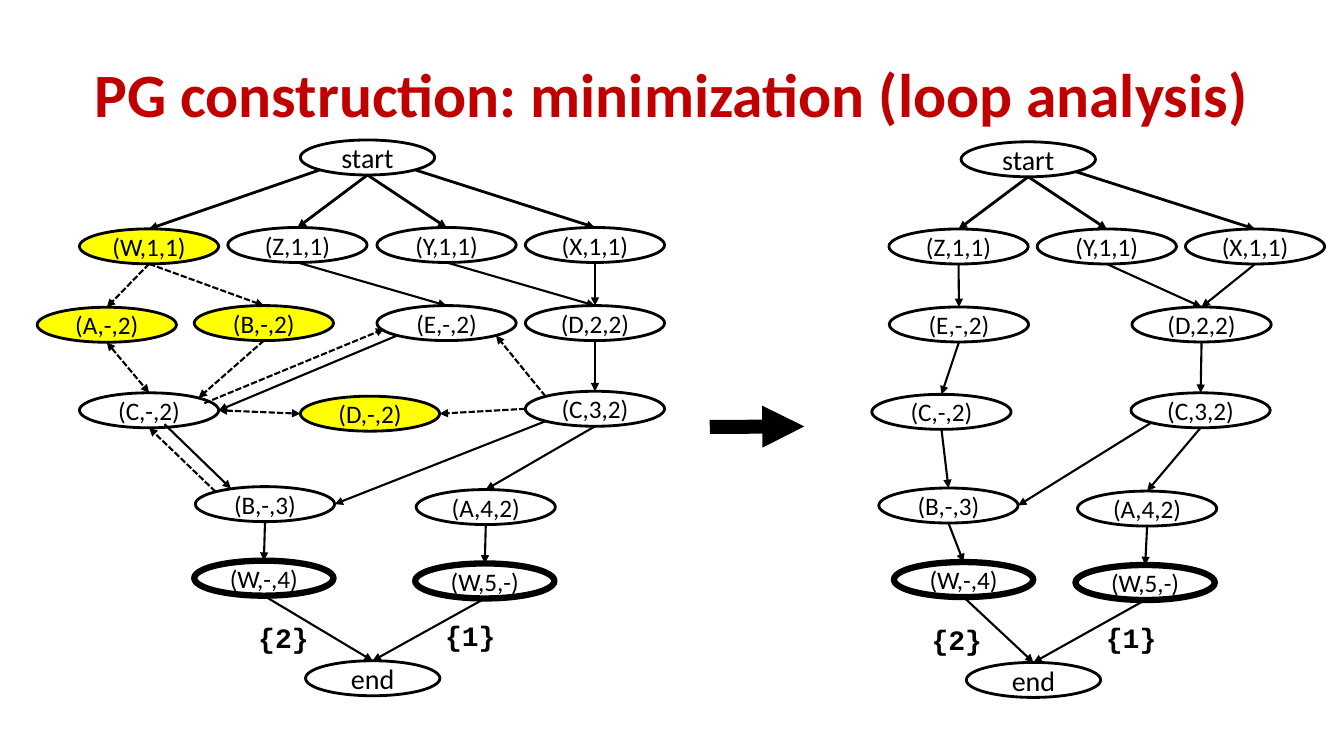
from lxml import etree
from pptx import Presentation
from pptx.dml.color import RGBColor
from pptx.enum.dml import MSO_LINE
from pptx.enum.shapes import MSO_CONNECTOR, MSO_SHAPE
from pptx.enum.text import MSO_ANCHOR, PP_ALIGN
from pptx.oxml.ns import qn
from pptx.util import Pt

STRAIGHT = MSO_CONNECTOR.STRAIGHT
ELLIPSE = MSO_SHAPE.OVAL
DASH = MSO_LINE.SQUARE_DOT
CENTER = PP_ALIGN.CENTER
MIDDLE = MSO_ANCHOR.MIDDLE
BLACK, RED, YELLOW = "000000", "C00000", "FFFF00"

TITLE = "PG construction: minimization (loop analysis)"
FINAL = {"(W,-,4)", "(W,5,-)"}
TERMINALS = {"start", "end"}

FULL_NODES = {
    "start": (262.5, 100), "(Z,1,1)": (212.5, 162.5), "(W,1,1)": (106.5, 163.5),
    "(Y,1,1)": (319, 162.5), "(X,1,1)": (425, 162.5), "(B,-,2)": (188.5, 218.3),
    "(A,-,2)": (76.3, 219.5), "(E,-,2)": (319, 218.3), "(D,2,2)": (425, 218.3),
    "(C,-,2)": (106.5, 280.6), "(D,-,2)": (264.3, 283), "(C,3,2)": (425, 279.5),
    "(B,-,3)": (189.3, 347.6), "(A,4,2)": (347, 349.7), "(W,-,4)": (188.5, 400.5),
    "(W,5,-)": (346.3, 402.5), "end": (266.2, 472),
}
REMOVED = {"(W,1,1)", "(A,-,2)", "(B,-,2)", "(D,-,2)"}
FULL_EDGES = [
    ("start", "br", "(X,1,1)", "t"), ("start", "b", "(Y,1,1)", "t"),
    ("start", "b", "(Z,1,1)", "t"), ("start", "bl", "(W,1,1)", "t"),
    ("(Z,1,1)", "b", "(E,-,2)", "t"), ("(X,1,1)", "b", "(D,2,2)", "t"),
    ("(Y,1,1)", "b", "(D,2,2)", "t"), ("(C,3,2)", "bl", "(B,-,3)", "r"),
    ("(D,2,2)", "b", "(C,3,2)", "t"), ("(B,-,3)", "b", "(W,-,4)", "t"),
    ("(C,3,2)", "b", "(A,4,2)", "t"), ("(A,4,2)", "b", "(W,5,-)", "t"),
    ("(W,-,4)", "b", "end", "t"), ("(W,5,-)", "b", "end", "t"),
    ("(E,-,2)", "bl", "(C,-,2)", "r"),
]
DASHED_EDGES = [
    ("(W,1,1)", "b", "(A,-,2)", "t"), ("(W,1,1)", "b", "(B,-,2)", "t"),
    ("(B,-,2)", "b", "(C,-,2)", "tr"), ("(C,3,2)", "l", "(D,-,2)", "r"),
    ("(C,3,2)", "tl", "(E,-,2)", "br"), ("(B,-,3)", "tl", "(C,-,2)", "b"),
]
TWO_WAY_EDGES = [("(A,-,2)", "b", "(C,-,2)", "t"), ("(C,-,2)", "r", "(D,-,2)", "l")]
C_TO_E = (146, 288), (274.5, 235)
C_TO_B = (117.5, 303), (165, 349)
FULL_LABELS = [("{2}", 136, 440), ("{1}", 269.5, 439)]

MINIMAL_NODES = {
    "start": (734.5, 101.3), "(Z,1,1)": (684.7, 163.6), "(Y,1,1)": (790.6, 163.6),
    "(X,1,1)": (896.5, 163.6), "(E,-,2)": (685, 219.3), "(D,2,2)": (858.3, 219.3),
    "(C,-,2)": (672.5, 281.7), "(C,3,2)": (857.6, 280.6), "(B,-,3)": (677.5, 348.6),
    "(A,4,2)": (819.4, 350.8), "(W,-,4)": (688.3, 401.5), "(W,5,-)": (818, 403.6),
    "end": (738.2, 473.2),
}
MINIMAL_EDGES = [
    ("start", "br", "(X,1,1)", "t"), ("start", "b", "(Y,1,1)", "t"),
    ("start", "b", "(Z,1,1)", "t"), ("(Z,1,1)", "b", "(E,-,2)", "t"),
    ("(X,1,1)", "b", "(D,2,2)", "t"), ("(Y,1,1)", "b", "(D,2,2)", "t"),
    ("(E,-,2)", "b", "(C,-,2)", "t"), ("(C,3,2)", "bl", "(B,-,3)", "r"),
    ("(D,2,2)", "b", "(C,3,2)", "t"), ("(C,-,2)", "b", "(B,-,3)", "t"),
    ("(B,-,3)", "b", "(W,-,4)", "t"), ("(C,3,2)", "b", "(A,4,2)", "t"),
    ("(A,4,2)", "b", "(W,5,-)", "t"), ("(W,-,4)", "b", "end", "t"),
    ("(W,5,-)", "b", "end", "t"),
]
MINIMAL_LABELS = [("{2}", 617, 441.3), ("{1}", 741.5, 440.5)]
BECOMES = (507, 305), (574.5, 304.6)

NODE_HEIGHT = 25
DIAGONAL = 0.71
SITES = {
    "t": (0, -1), "b": (0, 1), "l": (-1, 0), "r": (1, 0),
    "tl": (-DIAGONAL, -DIAGONAL), "tr": (DIAGONAL, -DIAGONAL),
    "bl": (-DIAGONAL, DIAGONAL), "br": (DIAGONAL, DIAGONAL),
}


def color(value):
    return RGBColor.from_string(value)


def write(frame, text, size, font="Calibri", bold=False, ink=BLACK):
    paragraph = frame.paragraphs[0]
    paragraph.alignment = CENTER
    run = paragraph.add_run()
    run.text = text
    run.font.size = Pt(size)
    run.font.name = font
    run.font.bold = bold
    run.font.color.rgb = color(ink)
    return paragraph


def node_width(name):
    return 96 if name in TERMINALS else 99.5


def add_node(parent, name, center, top, fill):
    width = node_width(name)
    node = parent.add_shape(ELLIPSE, Pt(center - width / 2), Pt(top), Pt(width), Pt(NODE_HEIGHT))
    node.shadow.inherit = False
    if fill:
        node.fill.solid()
        node.fill.fore_color.rgb = color(fill)
    else:
        node.fill.background()
    node.line.color.rgb = color(BLACK)
    node.line.width = Pt(4.5 if name in FINAL else 2)
    node.text_frame.word_wrap = False
    node.text_frame.vertical_anchor = MIDDLE
    write(node.text_frame, name, 20 if name in TERMINALS else 18)
    return node


def add_arrow(parent, begin, end, width=1.5, dashed=False, two_way=False):
    arrow = parent.add_connector(STRAIGHT, *(Pt(value) for value in begin + end))
    arrow.line.color.rgb = color(BLACK)
    arrow.line.width = Pt(width)
    if dashed:
        arrow.line.dash_style = DASH
    properties = arrow._element.spPr
    outline = properties.find(qn("a:ln"))
    for tip in ("a:headEnd", "a:tailEnd") if two_way else ("a:tailEnd",):
        etree.SubElement(outline, qn(tip), type="triangle")
    etree.SubElement(properties, qn("a:effectLst"))
    return arrow


def add_label(parent, text, left, top):
    label = parent.add_textbox(Pt(left), Pt(top), Pt(97), Pt(27))
    frame = label.text_frame
    frame.word_wrap = True
    frame.margin_left = frame.margin_right = frame.margin_top = frame.margin_bottom = Pt(3)
    paragraph = write(frame, text, 20, "Courier New", True)
    paragraph.level = 1
    paragraph._p.get_or_add_pPr().set("marL", str(Pt(36)))


def site_point(positions, name, site):
    center, top = positions[name]
    across, down = SITES[site]
    return (center + across * node_width(name) / 2, top + (1 + down) * NODE_HEIGHT / 2)


def add_graph(parent, positions, labels, removed, edge_sets):
    for label in labels:
        add_label(parent, *label)
    nodes = {name: add_node(parent, name, *place, YELLOW if name in removed else None)
             for name, place in positions.items()}
    for edges, dashed, two_way in edge_sets:
        for source, source_site, target, target_site in edges:
            arrow = add_arrow(parent, site_point(positions, source, source_site),
                              site_point(positions, target, target_site),
                              2 if source == "start" else 1.5, dashed, two_way)
            if target_site == "t":
                arrow.end_connect(nodes[target], 0)


def main():
    deck = Presentation()
    deck.slide_width, deck.slide_height = Pt(960), Pt(540)
    slide = deck.slides.add_slide(deck.slide_layouts[5])
    title = slide.shapes.title
    title.left, title.top, title.width, title.height = Pt(48), Pt(21.6), Pt(864), Pt(90)
    title.text_frame.vertical_anchor = MIDDLE
    write(title.text_frame, TITLE, 44, bold=True, ink=RED)

    add_graph(slide.shapes, FULL_NODES, FULL_LABELS, REMOVED,
              [(FULL_EDGES, False, False), (DASHED_EDGES, True, False), (TWO_WAY_EDGES, True, True)])
    add_arrow(slide.shapes, *C_TO_E, dashed=True)
    add_arrow(slide.shapes, *C_TO_B)
    minimal = slide.shapes.add_group_shape()
    add_graph(minimal.shapes, MINIMAL_NODES, MINIMAL_LABELS, set(), [(MINIMAL_EDGES, False, False)])
    add_arrow(slide.shapes, *BECOMES, width=10)
    deck.save("out.pptx")


if __name__ == "__main__":
    main()
